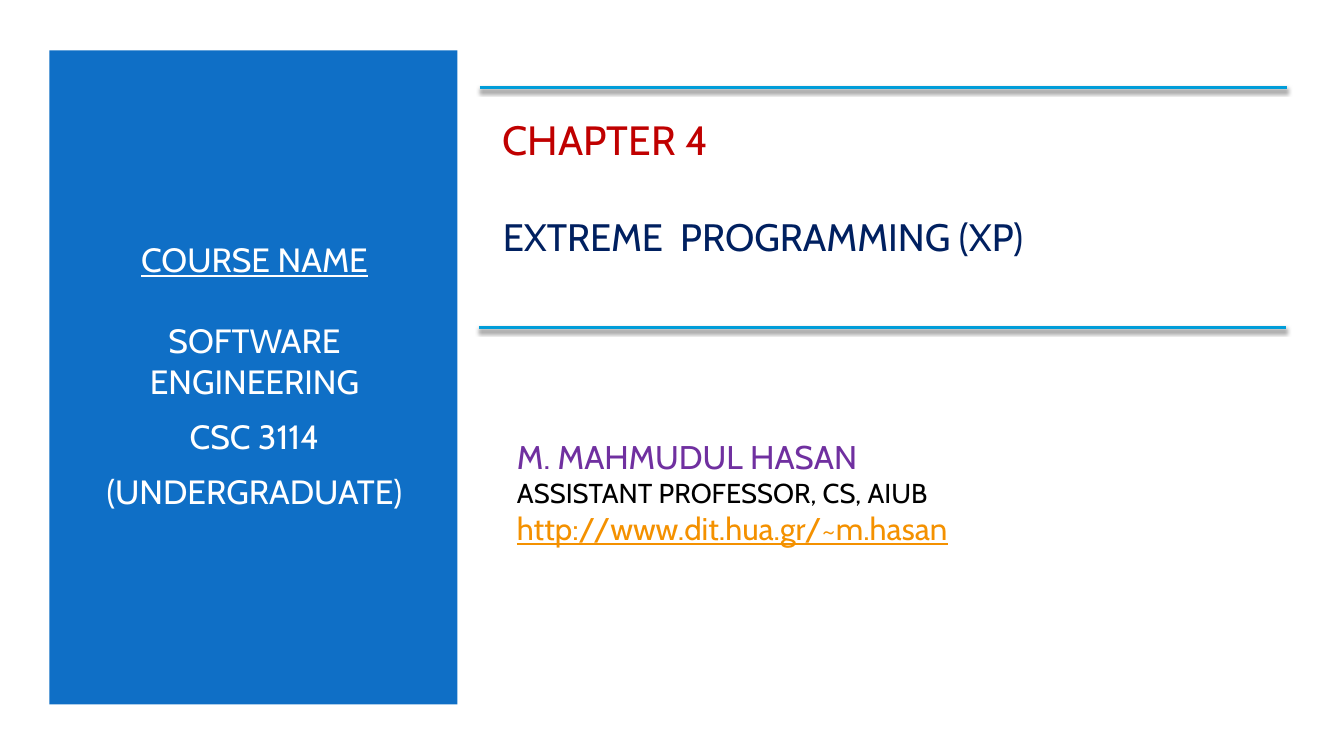
from lxml import etree
from pptx import Presentation
from pptx.dml.color import RGBColor
from pptx.enum.shapes import MSO_CONNECTOR as Connector, MSO_SHAPE as Shape
from pptx.enum.text import MSO_ANCHOR as Anchor, PP_ALIGN as Align
from pptx.util import Pt

COLORS = {
    "panel": "0F6FC6", "rule": "009DD9", "white": "FFFFFF", "chapter": "C00000",
    "title": "002060", "author": "7030A0", "role": "000000", "link": "F49100",
}
FONT = "Cabin"
SHADOW = (
    '<a:effectLst xmlns:a="http://schemas.openxmlformats.org/drawingml/2006/main">'
    '<a:outerShdw blurRad="38100" dist="25400" dir="5400000" rotWithShape="0">'
    '<a:srgbClr val="000000"><a:alpha val="55000"/></a:srgbClr>'
    '</a:outerShdw></a:effectLst>'
)

presentation = Presentation()
presentation.slide_width, presentation.slide_height = Pt(960), Pt(540)
slide = presentation.slides.add_slide(presentation.slide_layouts[6])


def add_text_frame(left, top, width, height):
    frame = slide.shapes.add_textbox(Pt(left), Pt(top), Pt(width), Pt(height)).text_frame
    frame.word_wrap = True
    frame.vertical_anchor = Anchor.MIDDLE
    return frame


def add_line(frame, text, size, color, align=Align.LEFT, before=0, after=0, underline=False):
    """Fill the frame's empty first paragraph, or append a new one."""
    first = frame.paragraphs[0]
    paragraph = frame.add_paragraph() if first.runs else first
    paragraph.alignment = align
    paragraph.space_before, paragraph.space_after = Pt(before), Pt(after)
    run = paragraph.add_run()
    run.text = text
    run.font.name, run.font.size = FONT, Pt(size)
    run.font.underline = underline
    run.font.color.rgb = RGBColor.from_string(COLORS[color])


panel = slide.shapes.add_shape(Shape.RECTANGLE, Pt(35.2), Pt(36), Pt(291.6), Pt(467.2))
panel.shadow.inherit = False
panel.fill.solid()
panel.fill.fore_color.rgb = RGBColor.from_string(COLORS["panel"])
panel.line.fill.background()

course = add_text_frame(60.5, 79.2, 242.6, 378)
for text, before, after, underline in [
    ("COURSE NAME", 0, 0, True),
    ("SOFTWARE ENGINEERING", 29, 6, False),
    ("CSC 3114", 4.8, 6, False),
    ("(UNDERGRADUATE)", 4.8, 6, False),
]:
    add_line(course, text, 24, "white", align=Align.CENTER,
             before=before, after=after, underline=underline)

heading = add_text_frame(352.1, 79.2, 565.2, 108.7)
add_line(heading, "CHAPTER 4", 29.2, "chapter")
add_line(heading, "EXTREME  PROGRAMMING (XP)", 27.3, "title", before=35.5)

author = add_text_frame(362.2, 295.2, 479.5, 112.3)
add_line(author, "M. MAHMUDUL HASAN", 23.4, "author")
add_line(author, "ASSISTANT PROFESSOR, CS, AIUB", 19.5, "role")
add_line(author, "http://www.dit.hua.gr/~m.hasan", 22.4, "link", underline=True)

for left, top in [(342.7, 62.6), (342, 234)]:
    rule = slide.shapes.add_connector(
        Connector.STRAIGHT, Pt(left), Pt(top), Pt(left + 576.7), Pt(top))
    rule.line.width = Pt(2)
    rule.line.color.rgb = RGBColor.from_string(COLORS["rule"])
    rule._element.spPr.append(etree.fromstring(SHADOW))

presentation.save("out.pptx")
